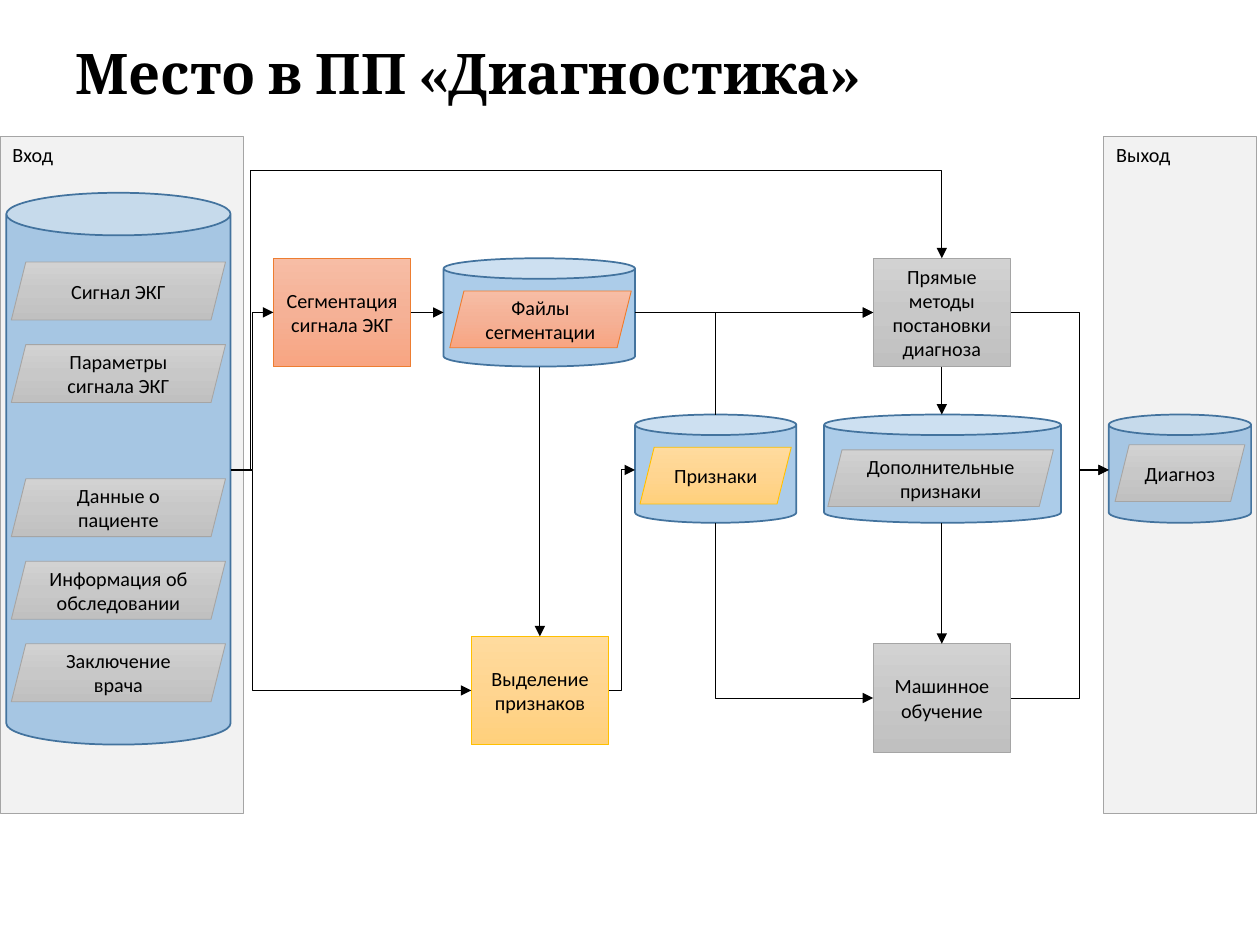
from copy import deepcopy
from dataclasses import dataclass

from lxml.etree import SubElement
from pptx import Presentation
from pptx.dml.color import RGBColor
from pptx.enum.shapes import MSO_CONNECTOR, MSO_SHAPE
from pptx.enum.text import MSO_ANCHOR, PP_ALIGN
from pptx.oxml.ns import qn
from pptx.util import Inches, Pt

WIDTH, HEIGHT = Inches(10), Inches(7.5)
COLUMNS, ROWS = 100, 75
TOP, LEFT, BOTTOM, RIGHT = range(4)


@dataclass(frozen=True)
class Theme:
    heading_font: str = "Cambria"
    body_font: str = "Calibri"
    heading_size: float = 32
    body_size: float = 11.5
    ink: str = "000000"
    panel: str = "F2F2F2"
    store: str = "5B9BD5"
    store_line: str = "43739E"
    thin: float = 0.5
    gray: tuple = ("D2D2D2", "C8C8C8", "C0C0C0", "A5A5A5")
    orange: tuple = ("F7BDA5", "F5B196", "F8A582", "ED7D31")
    yellow: tuple = ("FFDB9E", "FFD590", "FFD07C", "FFC000")


THEME = Theme()


def column(value):
    return round(WIDTH * value / COLUMNS)


def row(value):
    return round(HEIGHT * value / ROWS)


def color(value):
    return RGBColor.from_string(value)


def apply_format(target, values):
    for name, value in values.items():
        setattr(target, name, value)


def set_line(line, line_color, width):
    line.color.rgb = color(line_color)
    line.width = Pt(width)


def write(shape, text, paragraph_format, font_format, anchor):
    apply_format(shape.text_frame, {"word_wrap": True, "vertical_anchor": anchor})
    paragraph = shape.text_frame.paragraphs[0]
    apply_format(paragraph, paragraph_format)
    run = paragraph.add_run()
    run.text = text
    apply_format(run.font, font_format)
    run.font.color.rgb = color(THEME.ink)


def write_body(shape, text, alignment, anchor):
    write(shape, text, {"alignment": alignment},
          {"name": THEME.body_font, "size": Pt(THEME.body_size)}, anchor)


def add_title(slide, text):
    box = slide.shapes.add_textbox(column(5), row(3), column(83.3), row(6.1))
    write(box, text, {"line_spacing": 0.9},
          {"name": THEME.heading_font, "size": Pt(THEME.heading_size), "bold": True},
          MSO_ANCHOR.MIDDLE)


def add_figure(slide, kind, left, top, width, height):
    shape = slide.shapes.add_shape(kind, column(left), row(top), column(width), row(height))
    shape.shadow.inherit = False
    return shape


def add_panel(slide, text, left, width):
    shape = add_figure(slide, MSO_SHAPE.RECTANGLE, left, 10.8, width, 53.8)
    shape.fill.solid()
    shape.fill.fore_color.rgb = color(THEME.panel)
    set_line(shape.line, THEME.gray[-1], THEME.thin)
    write_body(shape, text, PP_ALIGN.LEFT, MSO_ANCHOR.TOP)


def add_store(slide, left, top, width, height=8.6):
    shape = add_figure(slide, MSO_SHAPE.CAN, left, top, width, height)
    shape.adjustments[0] = 0.19
    shape.fill.solid()
    shape.fill.fore_color.rgb = color(THEME.store)
    fill_color = next(shape.element.spPr.iter(qn("a:srgbClr")))
    SubElement(fill_color, qn("a:alpha"), val="50000")
    set_line(shape.line, THEME.store_line, 1)


def add_labelled(slide, kind, text, palette, left, top, width, height):
    shape = add_figure(slide, kind, left, top, width, height)
    shape.fill.gradient()
    shape.fill.gradient_angle = 270
    stops = next(shape.element.spPr.iter(qn("a:gsLst")))
    stops.append(deepcopy(stops[-1]))
    for stop, position, shade in zip(shape.fill.gradient_stops, (0, 0.5, 1), palette):
        stop.position = position
        stop.color.rgb = color(shade)
    set_line(shape.line, palette[-1], THEME.thin)
    write_body(shape, text, PP_ALIGN.CENTER, MSO_ANCHOR.MIDDLE)
    return shape


def add_process(slide, text, palette, left, top):
    return add_labelled(slide, MSO_SHAPE.RECTANGLE, text, palette, left, top, 10.9, 8.6)


def add_data(slide, text, palette, left, top, width, height=4.5):
    add_labelled(slide, MSO_SHAPE.PARALLELOGRAM, text, palette, left, top, width, height)


def add_arrow(slide, kind, start, end, arrow_end="tailEnd"):
    connector = slide.shapes.add_connector(
        kind, column(start[0]), row(start[1]), column(end[0]), row(end[1]))
    set_line(connector.line, THEME.ink, THEME.thin)
    SubElement(connector.line._get_or_add_ln(), qn(f"a:{arrow_end}"), type="triangle")
    SubElement(connector._element.spPr, qn("a:effectLst"))
    return connector


def add_straight(slide, start, end, source=None, target=None):
    connector = add_arrow(slide, MSO_CONNECTOR.STRAIGHT, start, end)
    if source:
        connector.begin_connect(*source)
    if target:
        connector.end_connect(*target)


def add_elbow(slide, start, end, turn_column=None, turn_row=None):
    corner = turn_column is None
    connector = add_arrow(slide, MSO_CONNECTOR.ELBOW, *((end, start) if corner else (start, end)),
                          arrow_end="headEnd" if corner else "tailEnd")
    shares = [(turn - first) / (last - first)
              for turn, first, last in zip((turn_column, turn_row), start, end)
              if turn is not None]
    geometry = connector._element.spPr.find(qn("a:prstGeom"))
    geometry.set("prst", f"bentConnector{2 + len(shares)}")
    guides = geometry.find(qn("a:avLst"))
    for number, share in enumerate(shares, 1):
        SubElement(guides, qn("a:gd"), name=f"adj{number}", fmla=f"val {round(share * 100000)}")


def add_input(slide):
    add_panel(slide, "Вход", 0, 19.3)
    add_store(slide, 0.5, 15.3, 17.8, 43.8)
    groups = (
        (20.8, ("Сигнал ЭКГ", "Параметры сигнала ЭКГ")),
        (38, ("Данные о пациенте", "Информация об обследовании", "Заключение врача")),
    )
    for first_row, labels in groups:
        for index, label in enumerate(labels):
            add_data(slide, label, THEME.gray, 0.9, first_row + 6.55 * index, 17, 4.6)


def add_stores(slide):
    for left, top, width in ((35.2, 20.5, 15.2), (50.4, 32.9, 12.8),
                             (65.4, 32.9, 18.8), (88, 32.9, 11.3)):
        add_store(slide, left, top, width)
    for text, palette, left, top, width in (
        ("Файлы сегментации", THEME.orange, 35.7, 23.1, 14.4),
        ("Признаки", THEME.yellow, 50.8, 35.5, 12),
        ("Дополнительные признаки", THEME.gray, 65.7, 35.7, 17.9),
        ("Диагноз", THEME.gray, 88.5, 35.3, 10.3),
    ):
        add_data(slide, text, palette, left, top, width)


def main():
    presentation = Presentation()
    apply_format(presentation, {"slide_width": WIDTH, "slide_height": HEIGHT})
    slide = presentation.slides.add_slide(presentation.slide_layouts[6])
    add_title(slide, "Место в ПП «Диагностика»")
    add_input(slide)
    add_panel(slide, "Выход", 87.6, 12.1)
    add_stores(slide)

    segmentation = add_process(slide, "Сегментация сигнала ЭКГ", THEME.orange, 21.7, 20.5)
    extraction = add_process(slide, "Выделение признаков", THEME.yellow, 37.4, 50.5)
    direct = add_process(slide, "Прямые методы постановки диагноза", THEME.gray, 69.3, 20.5)
    learning = add_process(slide, "Машинное обучение", THEME.gray, 69.3, 51.1)

    add_straight(slide, (32.6, 24.8), (35.2, 24.8), source=(segmentation, RIGHT))
    add_straight(slide, (42.85, 29.1), (42.85, 50.5), target=(extraction, TOP))
    add_straight(slide, (50.4, 24.8), (69.3, 24.8), target=(direct, LEFT))
    add_straight(slide, (74.75, 29.1), (74.75, 32.9), source=(direct, BOTTOM))
    add_straight(slide, (74.75, 41.5), (74.75, 51.1), target=(learning, TOP))

    source, diagnosis = (18.3, 37.3), (88, 37.3)
    add_elbow(slide, source, (21.7, 24.8), 20)
    add_elbow(slide, source, (37.4, 54.8), 20)
    add_elbow(slide, source, (74.75, 20.5), 19.9, 13.5)
    add_elbow(slide, (48.3, 54.8), (50.4, 37.3), 49.35)
    add_elbow(slide, (56.8, 41.5), (69.3, 55.4))
    add_elbow(slide, (56.8, 32.9), (69.3, 24.8))
    for process_row in (24.8, 55.4):
        add_elbow(slide, (80.2, process_row), diagnosis, 85.7)
    presentation.save("out.pptx")


if __name__ == "__main__":
    main()
